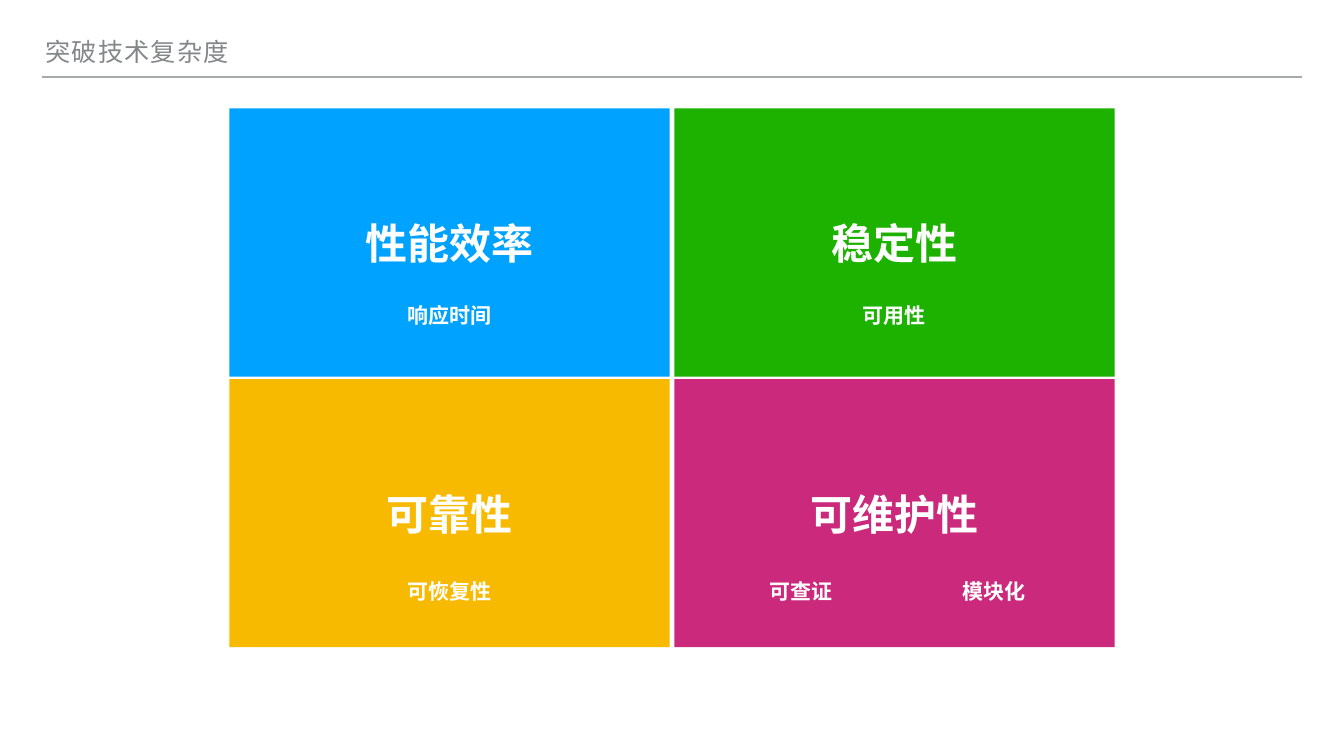
from pptx import Presentation
from pptx.dml.color import RGBColor
from pptx.enum.shapes import MSO_CONNECTOR, MSO_SHAPE
from pptx.enum.text import MSO_ANCHOR, MSO_AUTO_SIZE, PP_ALIGN
from pptx.oxml.ns import qn
from pptx.util import Pt

LINE = MSO_CONNECTOR.STRAIGHT
RECT = MSO_SHAPE.RECTANGLE
BOTTOM, MIDDLE = MSO_ANCHOR.BOTTOM, MSO_ANCHOR.MIDDLE
GROW = MSO_AUTO_SIZE.SHAPE_TO_FIT_TEXT
LEFT, CENTER = PP_ALIGN.LEFT, PP_ALIGN.CENTER
PAD = 4.5


def paint(part, color):
    """Give a fill or font colour its hex value."""
    part.rgb = RGBColor.from_string(color)


def write(shape, text, size, color="FFFFFF", font="Arial", bold=True,
          align=CENTER, anchor=MIDDLE, wrap=False, lead=None, track=None):
    frame = shape.text_frame
    frame.text = text
    frame.word_wrap = wrap
    frame.auto_size = GROW
    frame.vertical_anchor = anchor
    frame.margin_left = frame.margin_right = Pt(PAD)
    frame.margin_top = frame.margin_bottom = Pt(PAD)
    para = frame.paragraphs[0]
    para.alignment = align
    if lead:
        para.line_spacing = lead
    run = para.runs[0]
    run.font.name, run.font.size, run.font.bold = font, Pt(size), bold
    paint(run.font.color, color)
    if track:
        run.font._element.set("spc", str(round(track * 100)))


def label(slide, text, mid, top, high, size):
    """Place a one-line label centred on mid."""
    wide = size * len(text) + 2 * PAD
    box = slide.shapes.add_textbox(Pt(mid - wide / 2), Pt(top), Pt(wide), Pt(high))
    write(box, text, size)


def header(slide, text, left, top, wide, high):
    # Title
    title = slide.shapes.title
    title.left, title.top = Pt(left), Pt(top)
    title.width, title.height = Pt(1650), Pt(high)
    write(title, text, 36, color="838787", font="Lato", bold=False,
          align=LEFT, anchor=BOTTOM, wrap=True, lead=0.8, track=1.8)
    # Rule below the title
    base = Pt(top + high + 10)
    rule = slide.shapes.add_connector(LINE, Pt(left), base, Pt(left + wide), base)
    paint(rule.line.color, "A6AAA9")
    rule.line.width = Pt(2)
    props = rule._element.spPr
    props.append(props.makeelement(qn("a:effectLst"), {}))


def tile(slide, left, top, wide, high, color, name, notes, drop):
    # Panel
    panel = slide.shapes.add_shape(RECT, Pt(left), Pt(top), Pt(wide), Pt(high))
    panel.shadow.inherit = False
    panel.fill.solid()
    paint(panel.fill.fore_color, color)
    panel.line.fill.background()
    # Heading and the notes under it
    mid = left + wide / 2
    label(slide, name, mid, top + 146, 92, 60)
    for text, shift in notes:
        label(slide, text, mid + shift, top + drop, 50, 30)


def matrix(slide, left, top, wide, high):
    gap_x, gap_y = 7, 3.6
    cell_w, cell_h = (wide - gap_x) / 2, (high - gap_y) / 2
    rows = [
        (270, [("00A2FF", "性能效率", [("响应时间", 0)]),
               ("1DB100", "稳定性", [("可用性", 0)])]),
        (278, [("F8BA00", "可靠性", [("可恢复性", 0)]),
               ("CB297B", "可维护性", [("可查证", -134), ("模块化", 142)])]),
    ]
    for row, (drop, cells) in enumerate(rows):
        for col, (color, name, notes) in enumerate(cells):
            tile(slide, left + col * (cell_w + gap_x), top + row * (cell_h + gap_y),
                 cell_w, cell_h, color, name, notes, drop)


def main():
    deck = Presentation()
    deck.slide_width, deck.slide_height = Pt(1920), Pt(1080)
    slide = deck.slides.add_slide(deck.slide_layouts[5])
    header(slide, "突破技术复杂度", 60, 42, 1800, 58)
    matrix(slide, 327.8, 154.8, 1264.4, 769.8)
    deck.save("out.pptx")


if __name__ == "__main__":
    main()
